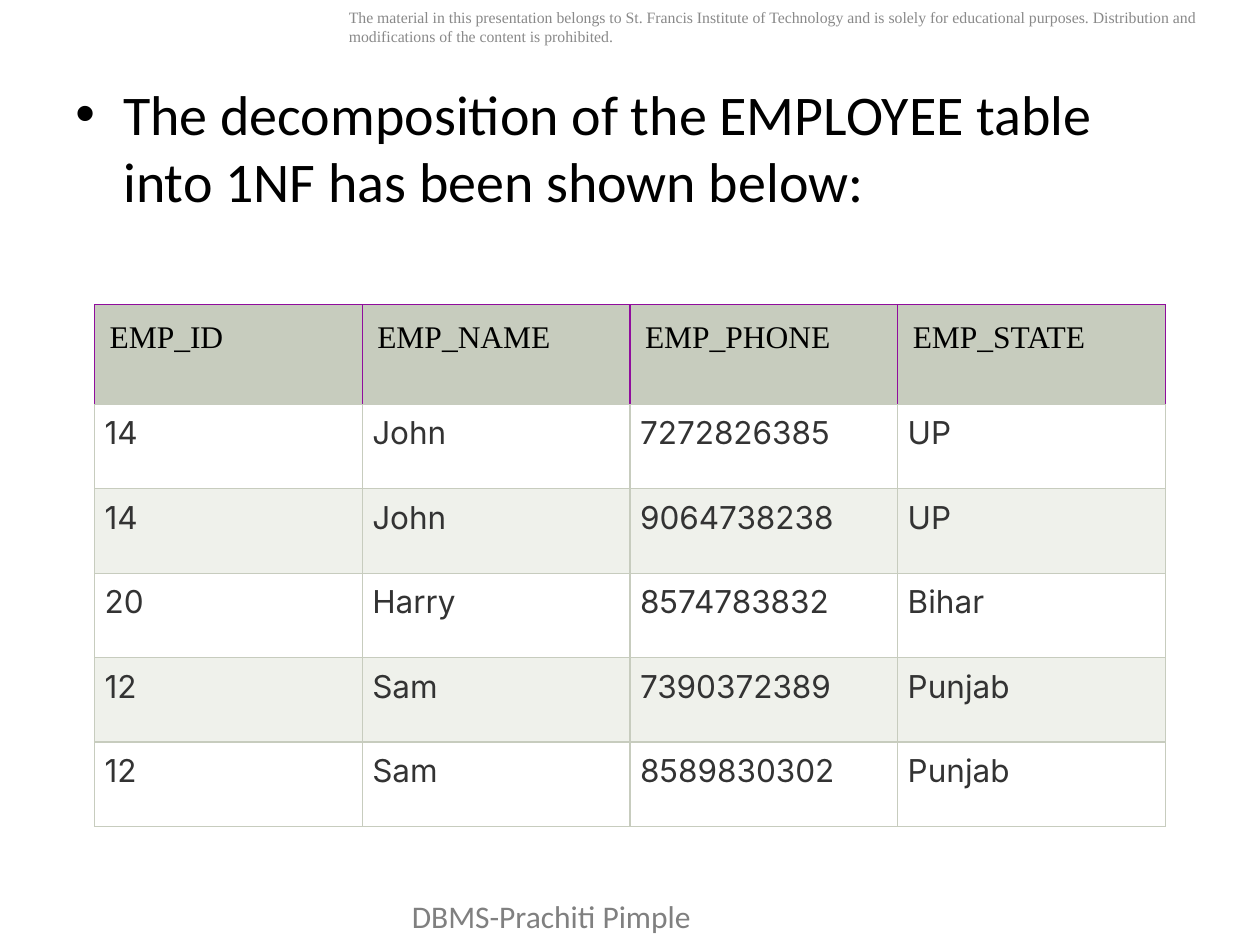
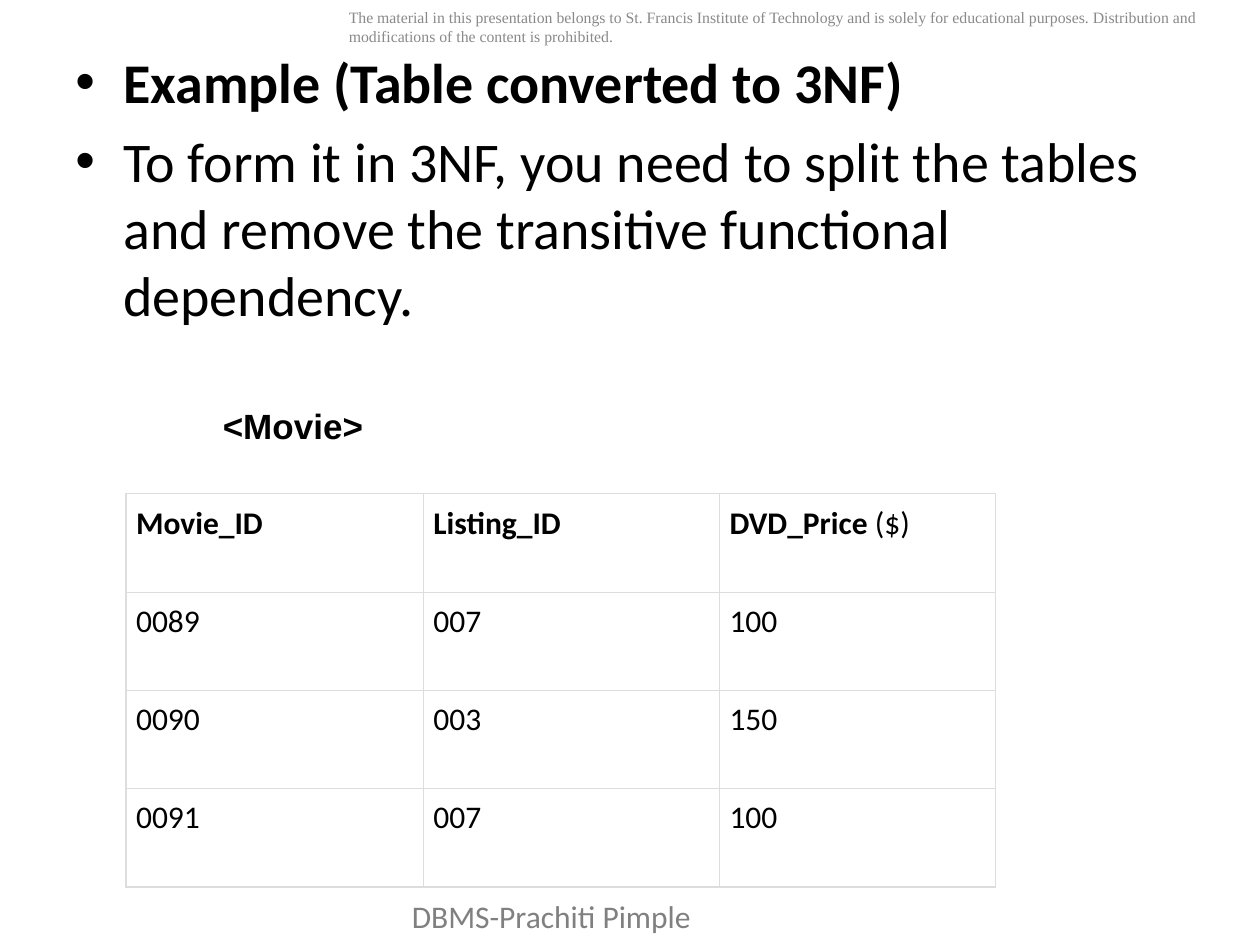
from lxml.etree import SubElement
from pptx import Presentation
from pptx.dml.color import RGBColor
from pptx.enum.text import MSO_ANCHOR, MSO_AUTO_SIZE, PP_ALIGN
from pptx.oxml.ns import qn
from pptx.util import Inches, Pt

BLACK, CHARCOAL, WHITE = "000000", "333333", "FFFFFF"
SAGE, PALE_SAGE, PURPLE, SILVER = "C7CCBE", "EFF1EB", "900C9D", "DDDDDD"
NOTICE = ("The material in this presentation belongs to St. Francis Institute of "
          "Technology and is solely for educational purposes. Distribution and "
          "modifications of the content is prohibited.")
AUTHOR = "DBMS-Prachiti Pimple"

EMPLOYEES = [
    ["EMP_ID", "EMP_NAME", "EMP_PHONE", "EMP_STATE"],
    ["14", "John", "7272826385", "UP"],
    ["14", "John", "9064738238", "UP"],
    ["20", "Harry", "8574783832", "Bihar"],
    ["12", "Sam", "7390372389", "Punjab"],
    ["12", "Sam", "8589830302", "Punjab"],
]
MOVIES = [
    ["Movie_ID", "Listing_ID", "DVD_Price"],
    ["0089", "007", "100"],
    ["0090", "003", "150"],
    ["0091", "007", "100"],
]


def rgb(value):
    """Turn a hex string into a colour."""
    return RGBColor.from_string(value)


def add_run(paragraph, text, size, font, color=BLACK, bold=False):
    """Append one styled run to a paragraph."""
    run = paragraph.add_run()
    run.text = text
    run.font.size, run.font.name, run.font.bold = Pt(size), font, bold
    run.font.color.rgb = rgb(color)


def add_frame(slide, box, wrap=True):
    """Add a text box and return its text frame."""
    frame = slide.shapes.add_textbox(*map(Inches, box)).text_frame
    frame.word_wrap = wrap
    return frame


def add_furniture(slide):
    """Add the usage notice and the author footer."""
    notice = add_frame(slide, (2.67, 0.01, 7.33, 0.71))
    add_run(notice.paragraphs[0], NOTICE, 9, "Times New Roman", "898989")
    author = add_frame(slide, (3.17, 7.07, 4.08, 0.4))
    add_run(author.paragraphs[0], AUTHOR, 18, "Calibri", "808080")


def add_bullets(slide, box, bullets):
    """Add large bulleted paragraphs from (text, bold) pairs."""
    frame = add_frame(slide, box)
    for index, (text, bold) in enumerate(bullets):
        paragraph = frame.add_paragraph() if index else frame.paragraphs[0]
        properties = paragraph._p.get_or_add_pPr()
        properties.set("marL", str(Inches(0.38)))
        properties.set("indent", str(-Inches(0.38)))
        SubElement(properties, qn("a:buFont"), typeface="Arial")
        SubElement(properties, qn("a:buChar"), char="•")
        paragraph.space_before = Pt(6.4 if index else 0)
        add_run(paragraph, text, 32, "Calibri", bold=bold)


def style_cell(cell, inset, fill, edge, bottom):
    """Set a cell's margins, borders and fill."""
    cell.margin_left = cell.margin_right = Inches(inset)
    cell.margin_top = cell.margin_bottom = Inches(inset)
    properties = cell._tc.get_or_add_tcPr()
    for side, color in zip("LRTB", (edge, edge, edge, bottom)):
        line = SubElement(properties, qn(f"a:ln{side}"), w=str(Pt(0.75)))
        SubElement(SubElement(line, qn("a:solidFill")), qn("a:srgbClr"), val=color)
    if fill:
        cell.fill.solid()
        cell.fill.fore_color.rgb = rgb(fill)
    else:
        cell.fill.background()


def add_grid(slide, left, top, widths, heights):
    """Add an unbanded table with the given column widths and row heights."""
    table = slide.shapes.add_table(
        len(heights), len(widths), Inches(left), Inches(top),
        Inches(sum(widths)), Inches(sum(heights))).table
    table.first_row = table.horz_banding = False
    for column, width in zip(table.columns, widths):
        column.width = Inches(width)
    for row, height in zip(table.rows, heights):
        row.height = Inches(height)
    return table


def add_employee_table(slide, left, top, width):
    """Add the employee table with a sage header and striped rows."""
    columns = len(EMPLOYEES[0])
    heights = [0.79] + [0.67] * (len(EMPLOYEES) - 1)
    table = add_grid(slide, left, top, [width / columns] * columns, heights)
    for row, record in enumerate(EMPLOYEES):
        for column, value in enumerate(record):
            cell = table.cell(row, column)
            paragraph = cell.text_frame.paragraphs[0]
            if row == 0:
                style_cell(cell, 0.12, SAGE, PURPLE, SAGE)
                add_run(paragraph, value, 18, "Times New Roman")
            else:
                style_cell(cell, 0.08, WHITE if row % 2 else PALE_SAGE, SAGE, SAGE)
                paragraph.alignment = PP_ALIGN.JUSTIFY
                add_run(paragraph, value, 18, "Inter", CHARCOAL)


def add_movie_table(slide, left, top):
    """Add the movie table with its bold header."""
    table = add_grid(slide, left, top, [2.36, 2.35, 2.19], [0.78] * len(MOVIES))
    for row, record in enumerate(MOVIES):
        for column, value in enumerate(record):
            cell = table.cell(row, column)
            style_cell(cell, 0.08, None, SILVER, SILVER)
            add_run(cell.text_frame.paragraphs[0], value, 18, "Calibri", bold=row == 0)
    add_run(table.cell(0, 2).text_frame.paragraphs[0], "\u00a0($)".replace("\u00a0", " "),
            18, "Calibri")


def add_table_caption(slide, box, text):
    """Add the bold name above a table."""
    frame = add_frame(slide, box, wrap=False)
    frame.vertical_anchor = MSO_ANCHOR.MIDDLE
    frame.auto_size = MSO_AUTO_SIZE.SHAPE_TO_FIT_TEXT
    frame.paragraphs[0].alignment = PP_ALIGN.JUSTIFY
    add_run(frame.paragraphs[0], text, 20, "Arial", bold=True)


def build_first_form(slide):
    """Build the 1NF slide."""
    add_bullets(slide, (0.5, 0.58, 9, 6.12), [
        ("The decomposition of the EMPLOYEE table into 1NF has been shown below:", False)])
    add_employee_table(slide, 0.75, 2.42, 8.5)


def build_third_form(slide):
    """Build the 3NF slide."""
    add_bullets(slide, (0.5, 0.33, 9, 6.37), [
        ("Example (Table converted to 3NF)", True),
        ("To form it in 3NF, you need to split the tables and remove the "
         "transitive functional dependency.", False)])
    add_movie_table(slide, 1, 3.92)
    add_table_caption(slide, (1.67, 3.16, 1.32, 0.44), "<Movie>")


def main():
    """Build and save the presentation."""
    deck = Presentation()
    deck.slide_width, deck.slide_height = Inches(10), Inches(7.5)
    for build in (build_first_form, build_third_form):
        slide = deck.slides.add_slide(deck.slide_layouts[6])
        add_furniture(slide)
        build(slide)
    deck.save("out.pptx")


if __name__ == "__main__":
    main()
